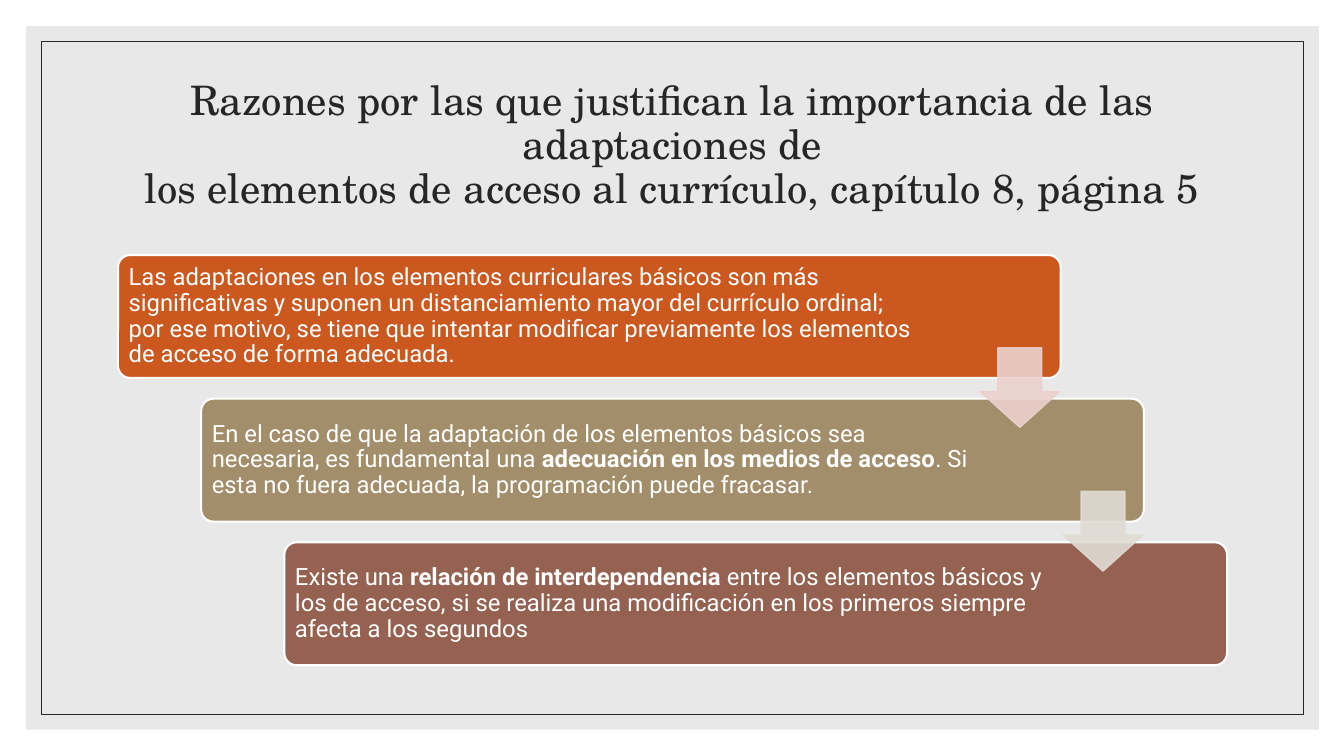
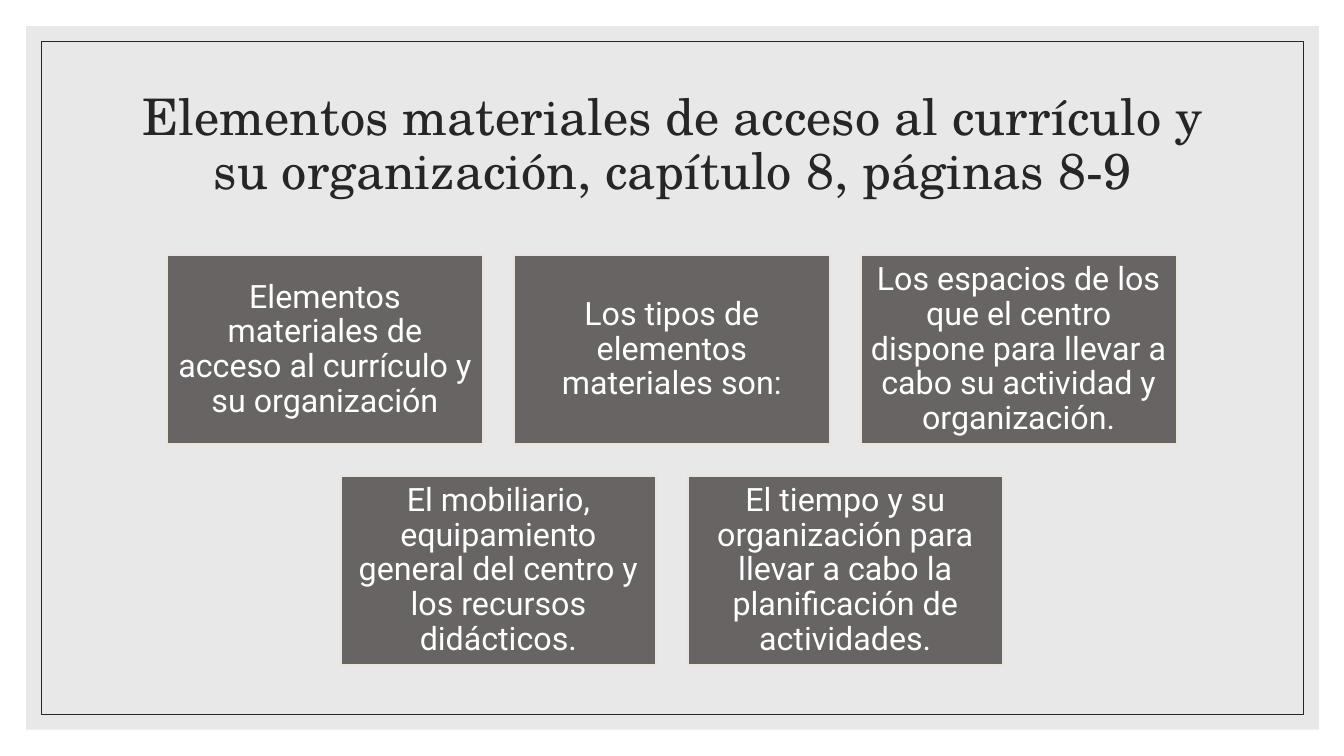
"""Build two slides on adapting access to the curriculum."""
from dataclasses import dataclass
from typing import Optional

import pptx
import pptx.dml.color
import pptx.enum.shapes
import pptx.enum.text
import pptx.oxml.ns
import pptx.presentation
import pptx.shapes.autoshape
import pptx.slide
import pptx.text.text
import pptx.util
from lxml import etree

Inches = pptx.util.Inches
Kind = pptx.enum.shapes.MSO_SHAPE
Align = pptx.enum.text.PP_ALIGN


@dataclass(frozen=True)
class Theme:
    ink: str = "262626"
    white: str = "FFFFFF"
    panel: str = "D9D9D9"
    card: str = "696464"
    edge: str = "E9E5DC"
    serif: str = "TeX Gyre Schola"
    sans: str = "Roboto"
    step_size: int = 17
    card_size: int = 23


@dataclass(frozen=True)
class Box:
    left: float
    top: float
    width: float
    height: float


@dataclass(frozen=True)
class Step:
    text: str
    fill: str
    right: float
    arrow: Optional[str] = None


THEME = Theme()

STEPS = (
    Step("Las adaptaciones en los elementos curriculares básicos son más significativas "
         "y suponen un distanciamiento mayor del currículo ordinal; por ese motivo, se tiene "
         "que intentar modificar previamente los elementos de acceso de forma adecuada.",
         "CB581F", 1.32, "ECD1CD"),
    Step("En el caso de que la adaptación de los elementos básicos sea necesaria, es "
         "fundamental una *adecuación en los medios de acceso*. Si esta no fuera adecuada, "
         "la programación puede fracasar.",
         "A28E6A", 1.69, "E0DBD4"),
    Step("Existe una *relación de interdependencia *entre los elementos básicos y los de "
         "acceso, si se realiza una modificación en los primeros siempre afecta a los segundos",
         "956251", 1.69),
)

CARDS = (
    ("Elementos materiales de acceso al currículo y su organización",
     "Los tipos de elementos materiales son:",
     "Los espacios de los que el centro dispone para llevar a cabo su actividad y organización."),
    ("El mobiliario, equipamiento general del centro y los recursos didácticos.",
     "El tiempo y su organización para llevar a cabo la planificación de actividades."),
)


def tint(hue: str) -> pptx.dml.color.RGBColor:
    return pptx.dml.color.RGBColor.from_string(hue)


def draw(slide: pptx.slide.Slide, kind: Kind, box: Box, fill: Optional[str],
         line: Optional[str], weight: float = 1.5, alpha: int = 100,
         bends: tuple[float, ...] = ()) -> pptx.shapes.autoshape.Shape:
    shape = slide.shapes.add_shape(kind, Inches(box.left), Inches(box.top),
                                   Inches(box.width), Inches(box.height))
    shape.shadow.inherit = False
    for i, bend in enumerate(bends):
        shape.adjustments[i] = bend
    if fill:
        shape.fill.solid()
        shape.fill.fore_color.rgb = tint(fill)
    else:
        shape.fill.background()
    if line:
        shape.line.color.rgb = tint(line)
        shape.line.width = pptx.util.Pt(weight)
    else:
        shape.line.fill.background()
    if alpha < 100:
        for node in shape.element.iter(pptx.oxml.ns.qn("a:srgbClr")):
            etree.SubElement(node, pptx.oxml.ns.qn("a:alpha")).set("val", str(alpha * 1000))
    return shape


def style(frame: pptx.text.text.TextFrame, face: str, size: int, hue: str, align: Align) -> None:
    frame.word_wrap = True
    frame.auto_size = pptx.enum.text.MSO_AUTO_SIZE.NONE
    frame.vertical_anchor = pptx.enum.text.MSO_ANCHOR.MIDDLE
    for para in frame.paragraphs:
        para.alignment = align
        para.line_spacing = 0.9
        for run in para.runs:
            run.font.name = face
            run.font.size = pptx.util.Pt(size)
            run.font.color.rgb = tint(hue)


def pad(frame: pptx.text.text.TextFrame, inset: float, right: float) -> None:
    frame.margin_left = frame.margin_top = frame.margin_bottom = Inches(inset)
    frame.margin_right = Inches(right)


def start(deck: pptx.presentation.Presentation, text: str, size: int) -> pptx.slide.Slide:
    slide = deck.slides.add_slide(deck.slide_layouts[5])
    title = slide.shapes.title
    title.left, title.top = Inches(1.17), Inches(0.7)
    title.width, title.height = Inches(11), Inches(1.5)
    title.text_frame.text = text
    style(title.text_frame, THEME.serif, size, THEME.ink, Align.CENTER)
    return slide


def share(slide: pptx.slide.Slide) -> None:
    panel = draw(slide, Kind.RECTANGLE, Box(0.26, 0.26, 12.82, 6.98), THEME.panel, None, alpha=60)
    border = draw(slide, Kind.RECTANGLE, Box(0.41, 0.41, 12.52, 6.68), None, THEME.ink, 0.5)
    for shape in (panel, border):
        slide.slide_layout.shapes.element.append(shape.element)


def stairs(slide: pptx.slide.Slide) -> None:
    width, height, side = 9.35, 1.22, 0.79
    spots = [Box(1.17 + i * 1.65 / 2, 2.53 + i * 2.85 / 2, width, height)
             for i in range(len(STEPS))]
    for step, spot in zip(STEPS, spots):
        shape = draw(slide, Kind.ROUNDED_RECTANGLE, spot, step.fill, THEME.white, bends=(0.1,))
        frame = shape.text_frame
        pad(frame, 0.07, step.right)
        for i, part in enumerate(step.text.split("*")):
            run = frame.paragraphs[0].add_run()
            run.text = part
            run.font.bold = i % 2 == 1
        style(frame, THEME.sans, THEME.step_size, THEME.white, Align.LEFT)
    for step, spot in zip(STEPS, spots):
        if step.arrow:
            box = Box(spot.left + width - side - 0.01, spot.top + 0.92, side, side)
            draw(slide, Kind.DOWN_ARROW, box, step.arrow, step.arrow, 1, 90, (0.55, 0.45))


def grid(slide: pptx.slide.Slide) -> None:
    width, height, gap = 3.13, 1.88, 0.31
    for i, row in enumerate(CARDS):
        left = (13.33 - len(row) * (width + gap) + gap) / 2
        for j, text in enumerate(row):
            box = Box(left + j * (width + gap), 2.53 + i * (height + gap), width, height)
            frame = draw(slide, Kind.RECTANGLE, box, THEME.card, THEME.edge).text_frame
            pad(frame, 0.1, 0.1)
            frame.text = text
            style(frame, THEME.sans, THEME.card_size, THEME.white, Align.CENTER)


def main() -> None:
    deck = pptx.Presentation()
    deck.slide_width, deck.slide_height = Inches(13.33), Inches(7.5)
    first = start(deck, "Razones por las que justifican la importancia de las adaptaciones de\n"
                  "los elementos de acceso al currículo, capítulo 8, página 5", 29)
    share(first)
    stairs(first)
    grid(start(deck, "Elementos materiales de acceso al currículo y su organización, "
               "capítulo 8, páginas 8-9", 36))
    deck.save("out.pptx")


if __name__ == "__main__":
    main()
